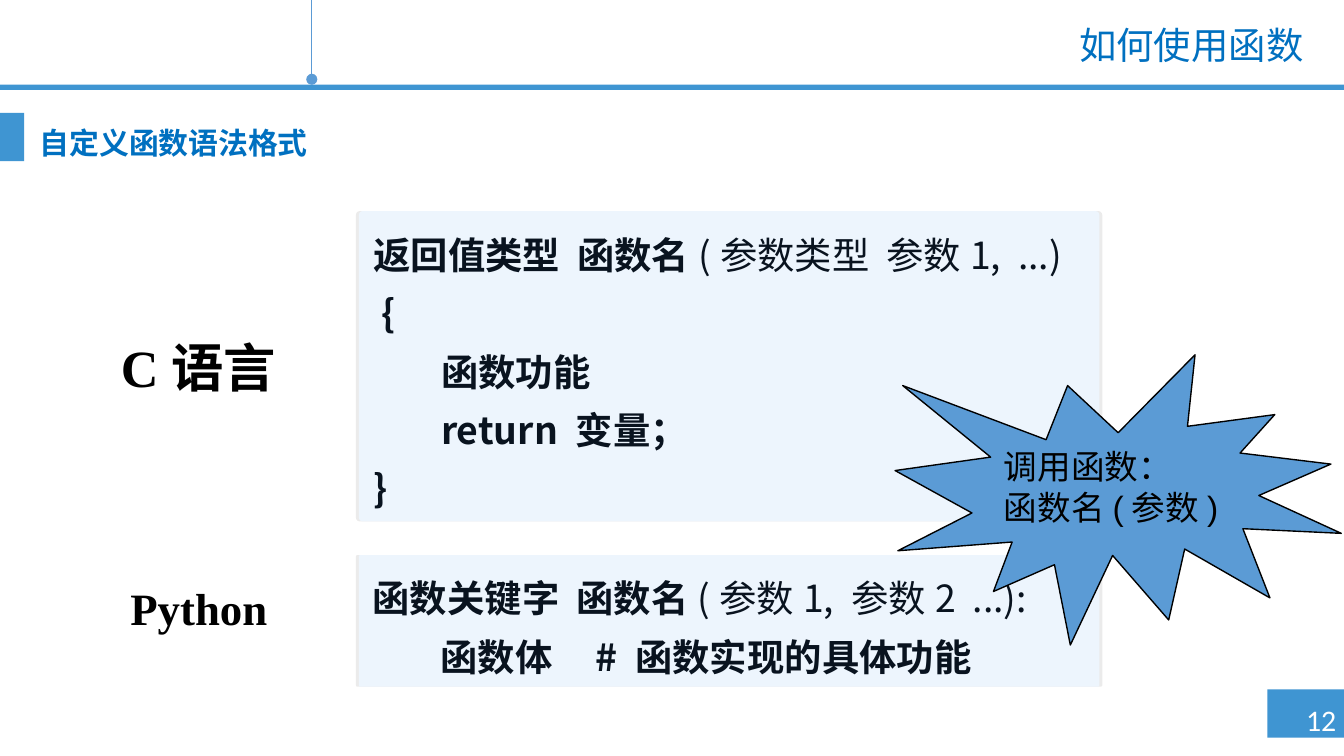
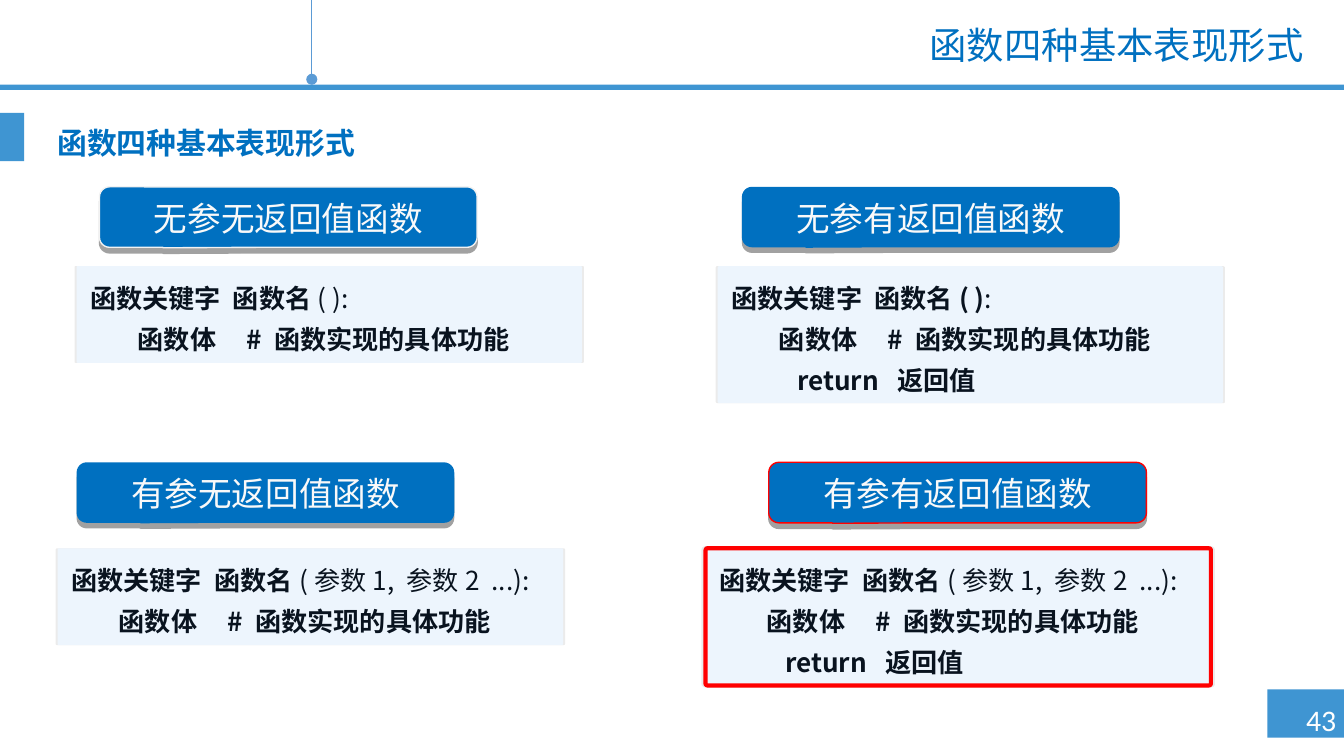
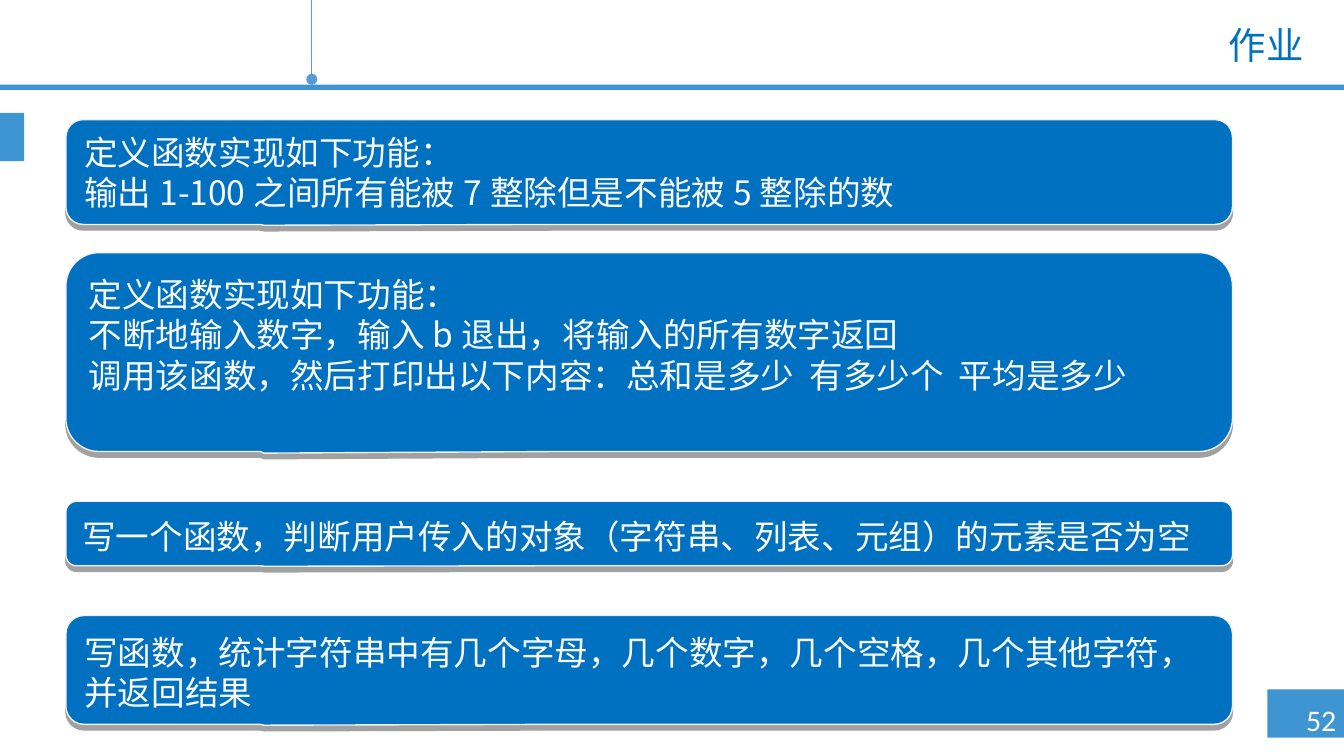
from dataclasses import dataclass
from lxml.etree import SubElement
from pptx import Presentation
from pptx.dml.color import RGBColor
from pptx.enum.shapes import MSO_CONNECTOR, MSO_SHAPE
from pptx.enum.text import MSO_ANCHOR, MSO_AUTO_SIZE, PP_ALIGN
from pptx.oxml.ns import qn
from pptx.util import Inches, Pt


@dataclass(frozen=True)
class Theme:
    band: str = "3F95D2"
    accent: str = "5B9BD5"
    heading: str = "0070C0"
    panel: str = "EDF5FD"
    code: str = "09131F"
    light: str = "F9F9F9"
    edge: str = "F2F2F2"
    red: str = "FF0000"
    white: str = "FFFFFF"
    black: str = "000000"
    cjk: str = "Noto Sans CJK SC"
    title_font: str = "Lato"
    serif: str = "Times New Roman"
    sans: str = "Arial"
    number_font: str = "Calibri"
    title_size: int = 20
    heading_size: int = 16
    c_size: int = 28
    python_size: int = 24
    code_size: int = 20
    small_code_size: int = 14
    callout_size: int = 18
    line_height: float = 1.2
    code_spacing: float = 1.3


T = Theme()

PYTHON_BODY = [("        函数体    # 函数实现的具体功能", True)]
PYTHON_RETURN = [("\treturn  返回值", True)]
PYTHON_NAME = ("函数关键字  函数名", True)
PYTHON_ARGS = [PYTHON_NAME, ("(参数1, 参数2  ...):", False)]
C_CODE = [
    [("返回值类型  函数名", True), ("(参数类型  参数1,  ...)", False)],
    [(" {", True)],
    [("        函数功能", True)],
    [("        return 变量；", True)],
    [("}", True)],
]


def inches(box):
    return [Inches(v) for v in box]


def style(r, size, color, font=T.cjk, bold=False):
    r.font.size = Pt(size)
    r.font.bold = bold
    r.font.color.rgb = RGBColor.from_string(color)
    r.font.name = font
    SubElement(r._r.get_or_add_rPr(), qn("a:ea"), typeface=T.cjk)


def write(tf, lines, size, color, font=T.cjk, bold=False,
          align=PP_ALIGN.LEFT, anchor=MSO_ANCHOR.TOP, spacing=None):
    tf.word_wrap = True
    tf.auto_size = MSO_AUTO_SIZE.NONE
    tf.vertical_anchor = anchor
    tf.text = "\n".join(lines)
    for p in tf.paragraphs:
        p.alignment = align
        p.line_spacing = spacing
        for r in p.runs:
            style(r, size, color, font, bold)


def add_box(s, kind, box, fill, line=None, width=0.75):
    sp = s.shapes.add_shape(kind, *inches(box))
    sp.shadow.inherit = False
    sp.fill.solid()
    sp.fill.fore_color.rgb = RGBColor.from_string(fill)
    if line:
        sp.line.color.rgb = RGBColor.from_string(line)
        sp.line.width = Pt(width)
    else:
        sp.line.fill.background()
    return sp


def add_shadow(sp, alpha, dist=0, angle=0, scale=100):
    effects = sp._element.spPr.find(qn("a:effectLst"))
    shadow = SubElement(effects, qn("a:outerShdw"), blurRad="0", dist=str(Pt(dist)),
                        dir=str(angle * 60000), sx=str(round(scale * 1000)),
                        algn="ctr", rotWithShape="0")
    color = SubElement(shadow, qn("a:srgbClr"), val=T.black)
    SubElement(color, qn("a:alpha"), val=str(alpha * 1000))


def add_label(s, box, text, size, color, font=T.cjk, bold=True, spacing=0.9):
    tb = s.shapes.add_textbox(*inches(box))
    write(tb.text_frame, [text], size, color, font, bold, PP_ALIGN.CENTER, spacing=spacing)


def add_pin(s, x, bottom):
    pin = s.shapes.add_connector(MSO_CONNECTOR.STRAIGHT, *inches((x, 0, x, bottom)))
    pin.line.color.rgb = RGBColor.from_string(T.accent)
    pin.line.width = Pt(0.75)
    SubElement(pin._element.spPr.find(qn("a:ln")), qn("a:tailEnd"), type="oval")
    SubElement(pin._element.spPr, qn("a:effectLst"))


def add_base_slide(prs, title, number):
    s = prs.slides.add_slide(prs.slide_layouts[5])
    for box in ((9.43, 5.13, 0.57, 0.36), (0, 0.63, 10, 0.04), (0, 0.84, 0.18, 0.36)):
        add_box(s, MSO_SHAPE.RECTANGLE, box, T.band)
    add_pin(s, 2.32, 0.59)
    add_label(s, (9.57, 5.17, 0.52, 0.37), str(number), T.heading_size, T.white,
              T.number_font, False, 1.0)
    sp = s.shapes.title
    sp.left, sp.top, sp.width, sp.height = inches((2.4, 0.15, 7.4, 0.4))
    write(sp.text_frame, [title], T.title_size, T.heading, T.title_font,
          align=PP_ALIGN.RIGHT, anchor=MSO_ANCHOR.MIDDLE, spacing=0.9)
    return s


def add_code_panel(s, box, lines, size, line=None):
    sp = add_box(s, MSO_SHAPE.ROUNDED_RECTANGLE, box, T.panel, line, 2.25)
    sp.adjustments[0] = 0.013
    add_shadow(sp, 7, scale=100.8)
    tf = sp.text_frame
    tf.word_wrap = True
    tf.vertical_anchor = MSO_ANCHOR.TOP
    for i, parts in enumerate(lines):
        p = tf.add_paragraph() if i else tf.paragraphs[0]
        tabs = SubElement(p._p.get_or_add_pPr(), qn("a:tabLst"))
        SubElement(tabs, qn("a:tab"), pos=str(Inches(0.49)), algn="l")
        p.alignment = PP_ALIGN.LEFT
        p.line_spacing = Pt(size * T.line_height * T.code_spacing)
        for text, bold in parts:
            r = p.add_run()
            r.text = text
            style(r, size, T.code, bold=bold)


def add_callout(s, box, lines, align=PP_ALIGN.LEFT, line=T.edge, bottom=0.05):
    sp = add_box(s, MSO_SHAPE.ROUNDED_RECTANGULAR_CALLOUT, box, T.heading, line)
    for i, value in enumerate((-0.33, 0.508, 0.167)):
        sp.adjustments[i] = value
    add_shadow(sp, 37, 3, 90)
    sp.text_frame.margin_bottom = Inches(bottom)
    write(sp.text_frame, lines, T.callout_size, T.light, align=align,
          anchor=MSO_ANCHOR.BOTTOM, spacing=Pt(T.callout_size * T.line_height))


def add_burst(s, box, lines):
    sp = add_box(s, MSO_SHAPE.EXPLOSION1, box, T.accent, T.black)
    write(sp.text_frame, lines, T.callout_size, T.black, T.sans,
          spacing=Pt(T.callout_size * T.line_height))


def add_function_form(s, x, y, gap, name, name_shift, lines, name_line=None, panel_line=None):
    height = 0.12 + 0.3 * len(lines)
    add_code_panel(s, (x, y + gap, 3.76, height), lines, T.small_code_size, panel_line)
    add_callout(s, (x + name_shift, y, 2.81, 0.45), [name], PP_ALIGN.CENTER, name_line)


def build_syntax_slide(prs):
    s = add_base_slide(prs, "如何使用函数", 12)
    add_label(s, (-0.04, 0.91, 2.67, 0.48), "自定义函数语法格式", T.heading_size, T.heading)
    add_code_panel(s, (2.67, 4.13, 5.51, 0.98), [PYTHON_ARGS, PYTHON_BODY], T.code_size)
    add_code_panel(s, (2.67, 1.57, 5.51, 2.31), C_CODE, T.code_size)
    add_label(s, (0.76, 2.5, 1.43, 0.48), "C语言", T.c_size, T.black, T.serif)
    add_label(s, (0.85, 4.32, 1.26, 0.48), "Python", T.python_size, T.black, T.serif)
    add_burst(s, (6.66, 2.64, 3.32, 2.16), ["调用函数：", "函数名(参数)"])


def build_forms_slide(prs):
    s = add_base_slide(prs, "函数四种基本表现形式", 43)
    add_label(s, (0.2, 0.91, 2.67, 0.48), "函数四种基本表现形式", T.heading_size, T.heading)
    top, low = (1.39, 0.59), (3.44, 0.64)
    add_function_form(s, 0.57, *top, "无参无返回值函数", 0.17,
                      [[PYTHON_NAME, ("( ):", False)], PYTHON_BODY], T.edge)
    add_function_form(s, 0.43, *low, "有参无返回值函数", 0.14, [PYTHON_ARGS, PYTHON_BODY])
    add_function_form(s, 5.34, *top, "无参有返回值函数", 0.18,
                      [[("函数关键字  函数名( )", True), (":", False)],
                       PYTHON_BODY, PYTHON_RETURN])
    add_function_form(s, 5.25, *low, "有参有返回值函数", 0.47,
                      [PYTHON_ARGS, PYTHON_BODY, PYTHON_RETURN], T.red, T.red)


def build_homework_slide(prs):
    s = add_base_slide(prs, "作业", 52)
    tasks = [
        (0.89, 0.78, 0.05, ["定义函数实现如下功能：",
                            "输出1-100之间所有能被7整除但是不能被5整除的数"]),
        (1.88, 1.48, 0.35, ["定义函数实现如下功能：",
                            "不断地输入数字，输入b退出，将输入的所有数字返回",
                            "调用该函数，然后打印出以下内容：总和是多少  有多少个  平均是多少"]),
        (3.73, 0.48, 0.05, ["写一个函数，判断用户传入的对象（字符串、列表、元组）的元素是否为空"]),
        (4.58, 0.81, 0.05, ["写函数，统计字符串中有几个字母，几个数字，几个空格，几个其他字符，并返回结果"]),
    ]
    for top, height, bottom, lines in tasks:
        add_callout(s, (0.49, top, 8.68, height), lines, bottom=bottom)


def main():
    prs = Presentation()
    prs.slide_width = Inches(10)
    prs.slide_height = prs.slide_width * 9 // 16
    build_syntax_slide(prs)
    build_forms_slide(prs)
    build_homework_slide(prs)
    prs.save("out.pptx")


if __name__ == "__main__":
    main()
